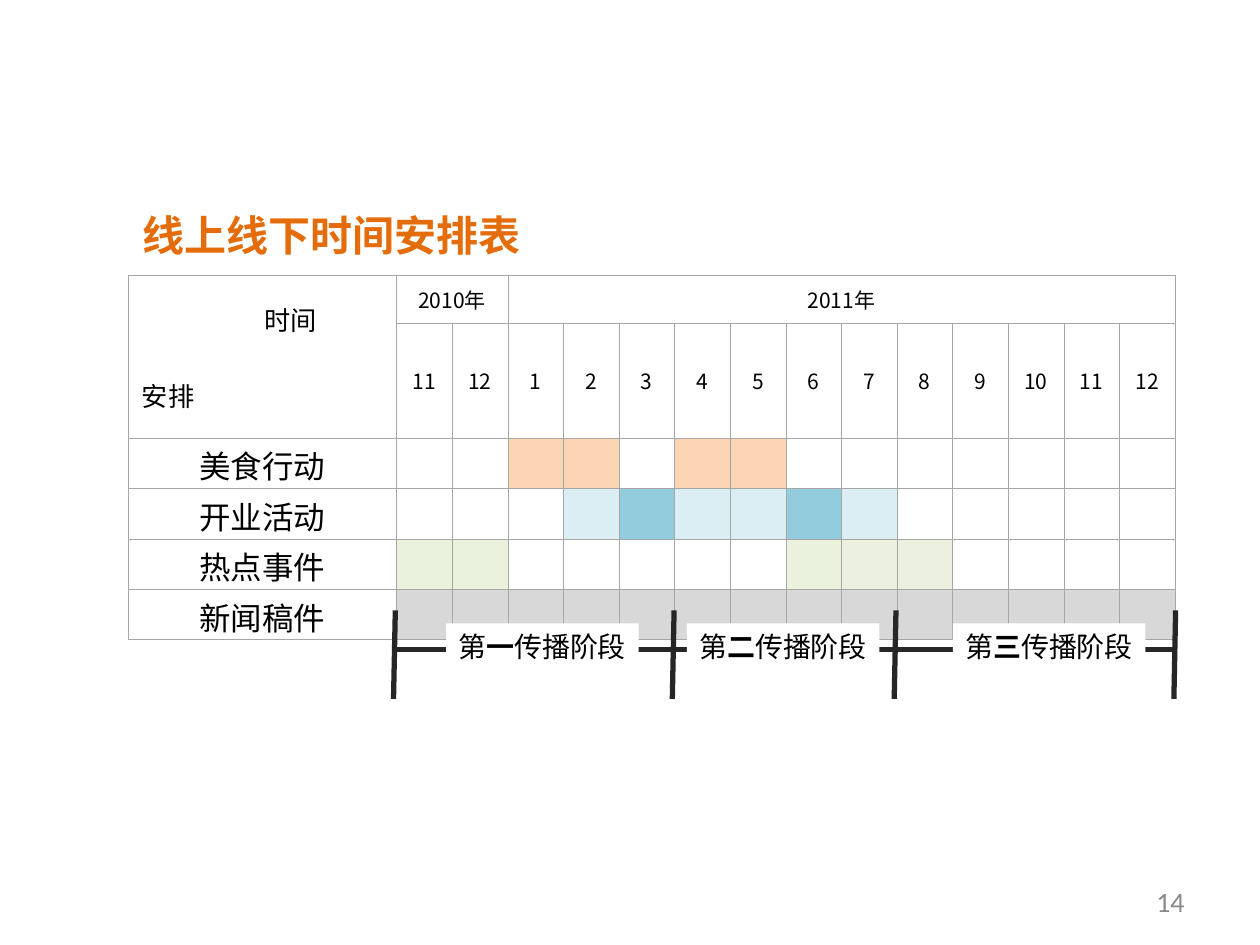
from lxml import etree
from pptx import Presentation
from pptx.dml.color import RGBColor
from pptx.enum.shapes import MSO_CONNECTOR, MSO_SHAPE
from pptx.enum.text import MSO_ANCHOR, MSO_AUTO_SIZE, PP_ALIGN
from pptx.oxml.ns import qn
from pptx.util import Pt

LEFT, CENTER, RIGHT = PP_ALIGN.LEFT, PP_ALIGN.CENTER, PP_ALIGN.RIGHT
TOP, MIDDLE = MSO_ANCHOR.TOP, MSO_ANCHOR.MIDDLE
GROW, FIXED = MSO_AUTO_SIZE.SHAPE_TO_FIT_TEXT, MSO_AUTO_SIZE.NONE
LINE, RECT = MSO_CONNECTOR.STRAIGHT, MSO_SHAPE.RECTANGLE

BLACK = RGBColor(0x00, 0x00, 0x00)
WHITE = RGBColor(0xFF, 0xFF, 0xFF)
ORANGE = RGBColor(0xE4, 0x6C, 0x0A)
DARK = RGBColor(0x26, 0x26, 0x26)
GREY = RGBColor(0x89, 0x89, 0x89)
PEACH = RGBColor(0xFC, 0xD5, 0xB4)
PALE = RGBColor(0xDB, 0xEE, 0xF4)
BLUE = RGBColor(0x93, 0xCD, 0xDD)
GREEN = RGBColor(0xEA, 0xF1, 0xDD)
OLIVE = RGBColor(0xEB, 0xF1, 0xDE)
SILVER = RGBColor(0xD8, 0xD8, 0xD8)
EDGE = "A6A6A6"
SANS = "Noto Sans CJK SC"

MONTHS = [11, 12, *range(1, 13)]
TASKS = [
    ("美食行动", {3: PEACH, 4: PEACH, 6: PEACH, 7: PEACH}),
    ("开业活动", {4: PALE, 5: BLUE, 6: PALE, 7: PALE, 8: BLUE, 9: PALE}),
    ("热点事件", {1: GREEN, 2: GREEN, 8: GREEN, 9: OLIVE, 10: OLIVE}),
    ("新闻稿件", dict.fromkeys(range(1, 15), SILVER)),
]
PHASES = [("一", 254.9), ("二", 392.5), ("三", 544.5)]
TICKS = [225.9, 385.2, 512, 671.8]


def write(par, text, size=12, color=BLACK, font=SANS, bold=False,
          align=LEFT, indent=0, before=0, spacing=None):
    par.alignment = align
    if indent:
        par._p.get_or_add_pPr().set("marL", str(Pt(indent)))
    if before:
        par.space_before = Pt(before)
    if spacing:
        par.line_spacing = spacing
    run = par.add_run()
    run.text = text
    run.font.size = Pt(size)
    run.font.bold = bold
    run.font.color.rgb = color
    run.font.name = font
    latin = run._r.get_or_add_rPr().find(qn("a:latin"))
    east = etree.Element(qn("a:ea"), typeface=font)
    latin.addnext(east)


class Board:
    def __init__(self, slide):
        self.slide = slide
        self.group = None

    def title(self, text, *box):
        head = self.slide.shapes.title
        head.left, head.top, head.width, head.height = map(Pt, box)
        frame = head.text_frame
        frame.word_wrap = True
        frame.auto_size = FIXED
        frame.vertical_anchor = TOP
        write(frame.paragraphs[0], text, size=24, color=ORANGE,
              bold=True, spacing=1.5)

    def number(self, text, *box):
        frame = self.slide.shapes.add_textbox(*map(Pt, box)).text_frame
        frame.word_wrap = True
        frame.vertical_anchor = MIDDLE
        write(frame.paragraphs[0], text, size=16, color=GREY,
              font="Calibri", align=RIGHT)

    def table(self, left, top, cols, rows):
        frame = self.slide.shapes.add_table(
            len(rows), len(cols), Pt(left), Pt(top), Pt(sum(cols)), Pt(sum(rows)))
        grid = frame.table
        grid.first_row = grid.horz_banding = False
        for col, width in zip(grid.columns, cols):
            col.width = Pt(width)
        for row, height in zip(grid.rows, rows):
            row.height = Pt(height)
        for cell in grid.iter_cells():
            self.cell(cell)
        return grid

    def cell(self, cell):
        cell.vertical_anchor = MIDDLE
        cell.margin_left = cell.margin_right = Pt(0.72)
        cell.margin_top = cell.margin_bottom = Pt(3.6)
        props = cell._tc.get_or_add_tcPr()
        for side in ("lnL", "lnR", "lnT", "lnB"):
            edge = etree.SubElement(props, qn(f"a:{side}"), w=str(Pt(0.23)))
            fill = etree.SubElement(edge, qn("a:solidFill"))
            etree.SubElement(fill, qn("a:srgbClr"), val=EDGE)
        cell.fill.background()
        par = cell.text_frame.paragraphs[0]._p
        etree.SubElement(par, qn("a:endParaRPr"), sz="1200")

    def bundle(self):
        self.group = self.slide.shapes.add_group_shape()

    def line(self, *ends):
        bar = self.group.shapes.add_connector(LINE, *map(Pt, ends))
        bar.line.color.rgb = DARK
        bar.line.width = Pt(3)
        etree.SubElement(bar._element.spPr, qn("a:effectLst"))

    def label(self, mark, *box):
        tag = self.group.shapes.add_shape(RECT, *map(Pt, box))
        tag.shadow.inherit = False
        tag.fill.solid()
        tag.fill.fore_color.rgb = WHITE
        tag.line.fill.background()
        frame = tag.text_frame
        frame.word_wrap = False
        frame.auto_size = GROW
        frame.vertical_anchor = TOP
        for text in ("第", mark, "传播阶段"):
            write(frame.paragraphs[0], text, size=16, bold=text == mark)


def plan(board):
    grid = board.table(73.4, 157.5, [153.2] + [31.79] * 14,
                       [27.4, 61.2] + [28.8] * 4)
    corner = grid.cell(0, 0)
    corner.merge(grid.cell(1, 0))
    corner.margin_top = corner.margin_bottom = Pt(0)
    frame = corner.text_frame
    write(frame.paragraphs[0], "时间", size=15, indent=77)
    write(frame.add_paragraph(), "安排", size=15, indent=7, before=22)
    for year, first, last in (("2010年", 1, 2), ("2011年", 3, 14)):
        cell = grid.cell(0, first)
        cell.merge(grid.cell(0, last))
        write(cell.text_frame.paragraphs[0], year, align=CENTER)
    for col, month in enumerate(MONTHS, 1):
        write(grid.cell(1, col).text_frame.paragraphs[0], str(month), align=CENTER)
    for row, (name, fills) in enumerate(TASKS, 2):
        cell = grid.cell(row, 0)
        cell.margin_top, cell.margin_bottom = Pt(2), Pt(0)
        write(cell.text_frame.paragraphs[0], name, size=18, align=CENTER)
        for col, color in fills.items():
            fill = grid.cell(row, col).fill
            fill.solid()
            fill.fore_color.rgb = color


def main():
    deck = Presentation()
    deck.slide_width, deck.slide_height = Pt(720), Pt(540)
    board = Board(deck.slides.add_slide(deck.slide_layouts[5]))
    board.title("线上线下时间安排表", 74.2, 101.5, 250, 50.4)
    plan(board)
    board.bundle()
    for left in TICKS:
        board.line(left, 348.8, left - 1, 399.4)
    board.line(225.9, 371.3, 670.6, 371.3)
    for mark, left in PHASES:
        board.label(mark, left, 356.2, 110, 26.6)
    board.number("14", 516, 500.5, 168, 28.8)
    deck.save("out.pptx")


if __name__ == "__main__":
    main()
